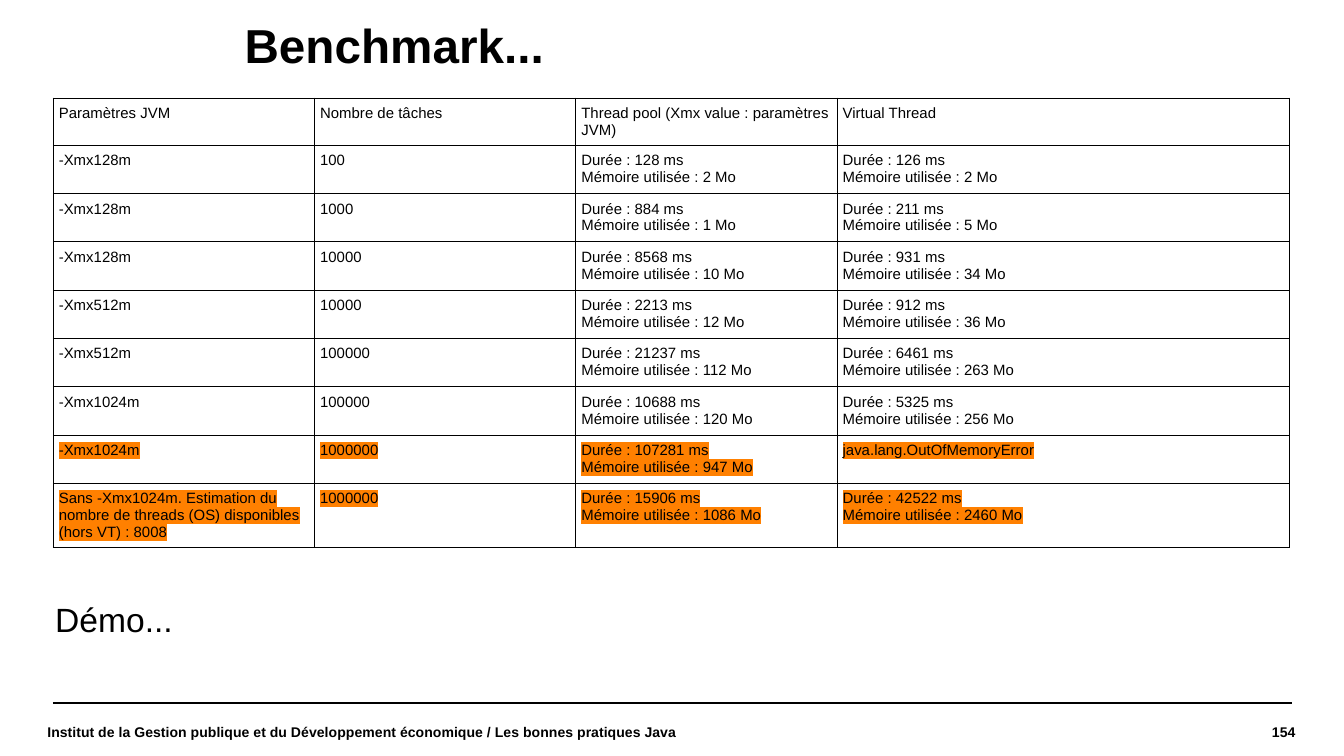
from lxml.etree import SubElement
from pptx import Presentation
from pptx.dml.color import RGBColor
from pptx.enum.shapes import MSO_CONNECTOR as Connector
from pptx.enum.text import MSO_ANCHOR as Anchor, PP_ALIGN as Align
from pptx.oxml import parse_xml
from pptx.oxml.ns import nsdecls, qn
from pptx.util import Pt

BLACK = RGBColor(0, 0, 0)
ORANGE = RGBColor(0xFF, 0x80, 0x00)
FONT = "Arial"

COLUMN_WIDTHS = [140, 140, 140, 242]
ROW_HEIGHTS = [25.2] + [25.9] * 7 + [34.4]
HEADINGS = ["Paramètres JVM", "Nombre de tâches",
            "Thread pool (Xmx value : paramètres JVM)", "Virtual Thread"]
OUT_OF_MEMORY = "java.lang.OutOfMemoryError"
NO_LIMIT = ("Sans -Xmx1024m. Estimation du nombre de threads (OS) "
            "disponibles (hors VT) : 8008")
RESULTS = [
    ("-Xmx128m", 100, (128, 2), (126, 2)),
    ("-Xmx128m", 1000, (884, 1), (211, 5)),
    ("-Xmx128m", 10000, (8568, 10), (931, 34)),
    ("-Xmx512m", 10000, (2213, 12), (912, 36)),
    ("-Xmx512m", 100000, (21237, 112), (6461, 263)),
    ("-Xmx1024m", 100000, (10688, 120), (5325, 256)),
    ("-Xmx1024m", 1000000, (107281, 947), OUT_OF_MEMORY),
    (NO_LIMIT, 1000000, (15906, 1086), (42522, 2460)),
]
FIRST_HIGHLIGHTED_ROW = 7


def add_run(para, text, size, bold=False, highlight=None):
    span = para.add_run()
    span.text = text
    font = span.font
    font.name, font.size, font.bold = FONT, Pt(size), bold
    font.color.rgb = BLACK
    if highlight is not None:
        mark = parse_xml(f'<a:highlight {nsdecls("a")}>'
                         f'<a:srgbClr val="{highlight}"/></a:highlight>')
        font._element.find(qn("a:solidFill")).addnext(mark)


def set_margins(target, across, down):
    target.margin_left = target.margin_right = Pt(across)
    target.margin_top = target.margin_bottom = Pt(down)


def place_title(page, left, top, width, height):
    title = page.shapes.title
    title.left, title.top = Pt(left), Pt(top)
    title.width, title.height = Pt(width), Pt(height)
    frame = title.text_frame
    set_margins(frame, 0, 0)
    frame.vertical_anchor = Anchor.TOP
    para = frame.paragraphs[0]
    para.alignment = Align.LEFT
    para.line_spacing = 0.9
    add_run(para, "Benchmark...", 25.5, bold=True)


def place_text(page, left, top, width, height, text, size, bold=False,
               align=Align.LEFT, anchor=Anchor.TOP, margins=(0, 0)):
    box = page.shapes.add_textbox(Pt(left), Pt(top), Pt(width), Pt(height))
    frame = box.text_frame
    frame.word_wrap = True
    frame.vertical_anchor = anchor
    set_margins(frame, *margins)
    para = frame.paragraphs[0]
    para.alignment = align
    add_run(para, text, size, bold)


def draw_borders(cell):
    properties = cell._tc.get_or_add_tcPr()
    for position, side in enumerate(("lnL", "lnR", "lnT", "lnB")):
        border = parse_xml(
            f'<a:{side} {nsdecls("a")} w="{Pt(0.57)}"><a:solidFill>'
            f'<a:srgbClr val="{BLACK}"/></a:solidFill></a:{side}>')
        properties.insert(position, border)


def cell_lines(value):
    if isinstance(value, tuple):
        duration, memory = value
        return [f"Durée : {duration} ms", f"Mémoire utilisée : {memory} Mo"]
    return [str(value)]


def fill_cell(cell, value, highlight):
    set_margins(cell, 2.9, 3.6)
    cell.fill.background()
    draw_borders(cell)
    frame = cell.text_frame
    for index, line in enumerate(cell_lines(value)):
        para = frame.add_paragraph() if index else frame.paragraphs[0]
        add_run(para, line, 8, highlight=highlight)


def place_results(page, left, top, width, height):
    rows = [HEADINGS] + RESULTS
    table = page.shapes.add_table(len(rows), len(HEADINGS), Pt(left), Pt(top),
                                  Pt(width), Pt(height)).table
    table.first_row = table.horz_banding = False
    for column, column_width in zip(table.columns, COLUMN_WIDTHS):
        column.width = Pt(column_width)
    for row, row_height in zip(table.rows, ROW_HEIGHTS):
        row.height = Pt(row_height)
    for row_index, values in enumerate(rows):
        highlight = ORANGE if row_index >= FIRST_HIGHLIGHTED_ROW else None
        for column_index, value in enumerate(values):
            fill_cell(table.cell(row_index, column_index), value, highlight)


def place_footer(page, left, top, width, height):
    rule = page.shapes.add_connector(Connector.STRAIGHT, Pt(left + 3), Pt(top),
                                     Pt(left + width - 2), Pt(top))
    rule.line.color.rgb = BLACK
    rule.line.width = Pt(0.8)
    SubElement(rule._element.spPr, qn("a:effectLst"))
    text_top, text_height = top + 1.5, height - 1.5
    number_width = 106
    place_text(page, left + width - number_width, text_top, number_width,
               text_height, "154", 7.5, True, Align.RIGHT, Anchor.MIDDLE)
    place_text(page, left, text_top, 348.5, text_height,
               "Institut de la Gestion publique et du Développement économique"
               " / Les bonnes pratiques Java",
               7.5, True, anchor=Anchor.MIDDLE)


def main():
    deck = Presentation()
    deck.slide_width, deck.slide_height = Pt(720), Pt(405)
    page = deck.slides.add_slide(deck.slide_layouts[5])
    place_title(page, 131, 12.2, 569, 29)
    place_results(page, 28.6, 52.6, sum(COLUMN_WIDTHS), sum(ROW_HEIGHTS))
    place_text(page, 22.5, 317.5, 170, 27.5, "Démo...", 18, margins=(7.2, 3.6))
    place_footer(page, 25.4, 376.5, 668.6, 29.5)
    deck.save("out.pptx")


if __name__ == "__main__":
    main()
